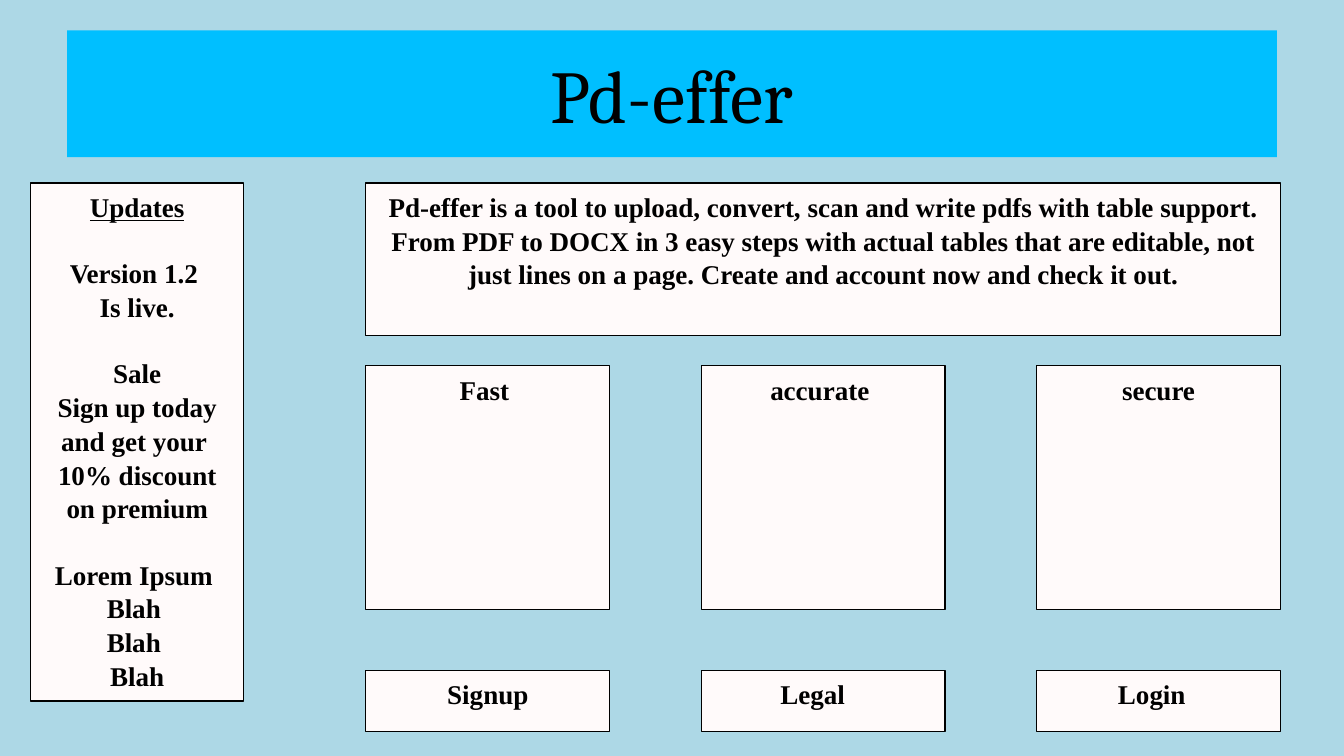
from pptx import Presentation
from pptx import util as u
from pptx.dml.color import RGBColor
from pptx.enum import shapes, text

COLORS = {"page": "ADD8E6", "title": "00BFFF", "card": "FFFAFA", "ink": "000000"}
ABOUT = (
    "Pd-effer is a tool to upload, convert, scan and write pdfs with table support. "
    "From PDF to DOCX in 3 easy steps with actual tables that are editable, not just "
    "lines on a page. Create and account now and check it out."
)
UPDATES = [
    ["Updates"],
    ["Version 1.2 ", "Is live."],
    ["Sale", "Sign up today and get your ", "10% discount on premium"],
    ["Lorem Ipsum ", "Blah ", "Blah ", "Blah"],
]
# Heading, button label and extra right margin of the button
COLUMNS = [("Fast ", "Signup", 0), ("accurate ", "Legal", 0.17), ("secure", "Login", 0.11)]


def color(name):
    return RGBColor.from_string(COLORS[name])


def write(para, words, size=16, face="Times New Roman", bold=True,
          under=False, before=0, spacing=1.04):
    para.alignment = text.PP_ALIGN.CENTER
    para.line_spacing = spacing
    para.space_before = u.Pt(before)
    run = para.add_run()
    run.text = words
    font = run.font
    font.size, font.name = u.Pt(size), face
    font.bold, font.underline = bold, under
    font.color.rgb = color("ink")


def box(slide, left, top, width, height, fill="card"):
    """Add a filled rectangle and return it with its text set to wrap."""
    rect = slide.shapes.add_shape(
        shapes.MSO_SHAPE.RECTANGLE,
        u.Inches(left), u.Inches(top), u.Inches(width), u.Inches(height))
    rect.shadow.inherit = False
    rect.fill.solid()
    rect.fill.fore_color.rgb = color(fill)
    rect.text_frame.word_wrap = True
    return rect


def title(slide, words):
    rect = box(slide, 0.55, 0.25, 9.92, 1.04, fill="title")
    rect.line.fill.background()
    rect.text_frame.vertical_anchor = text.MSO_ANCHOR.MIDDLE
    write(rect.text_frame.paragraphs[0], words, size=44, face="Cambria",
          bold=False, spacing=1.0)


def card(slide, left, top, width, height, extra=0):
    """Add an outlined card, with extra right margin, and return its text frame."""
    rect = box(slide, left, top, width, height)
    rect.line.color.rgb = color("ink")
    rect.line.width = u.Pt(0)
    frame = rect.text_frame
    frame.vertical_anchor = text.MSO_ANCHOR.TOP
    frame.margin_right = u.Inches(0.1 + extra)
    return frame


def news(slide, groups):
    frame = card(slide, 0.25, 1.5, 1.75, 4.25)
    for g, group in enumerate(groups):
        for i, words in enumerate(group):
            first = g == 0 and i == 0
            para = frame.paragraphs[0] if first else frame.add_paragraph()
            gap = 19.2 if g > 0 and i == 0 else 0
            write(para, words, under=first, before=gap)


def main():
    deck = Presentation()
    deck.slide_width, deck.slide_height = u.Inches(11.02), u.Inches(6.2)
    slide = deck.slides.add_slide(deck.slide_layouts[6])
    slide.background.fill.solid()
    slide.background.fill.fore_color.rgb = color("page")

    title(slide, "Pd-effer")
    news(slide, UPDATES)
    write(card(slide, 3, 1.5, 7.5, 1.25).paragraphs[0], ABOUT)
    for i, (head, label, extra) in enumerate(COLUMNS):
        left = 3 + 2.75 * i
        write(card(slide, left, 3, 2, 2).paragraphs[0], head)
        write(card(slide, left, 5.5, 2, 0.5, extra).paragraphs[0], label)
    deck.save("out.pptx")


if __name__ == "__main__":
    main()
